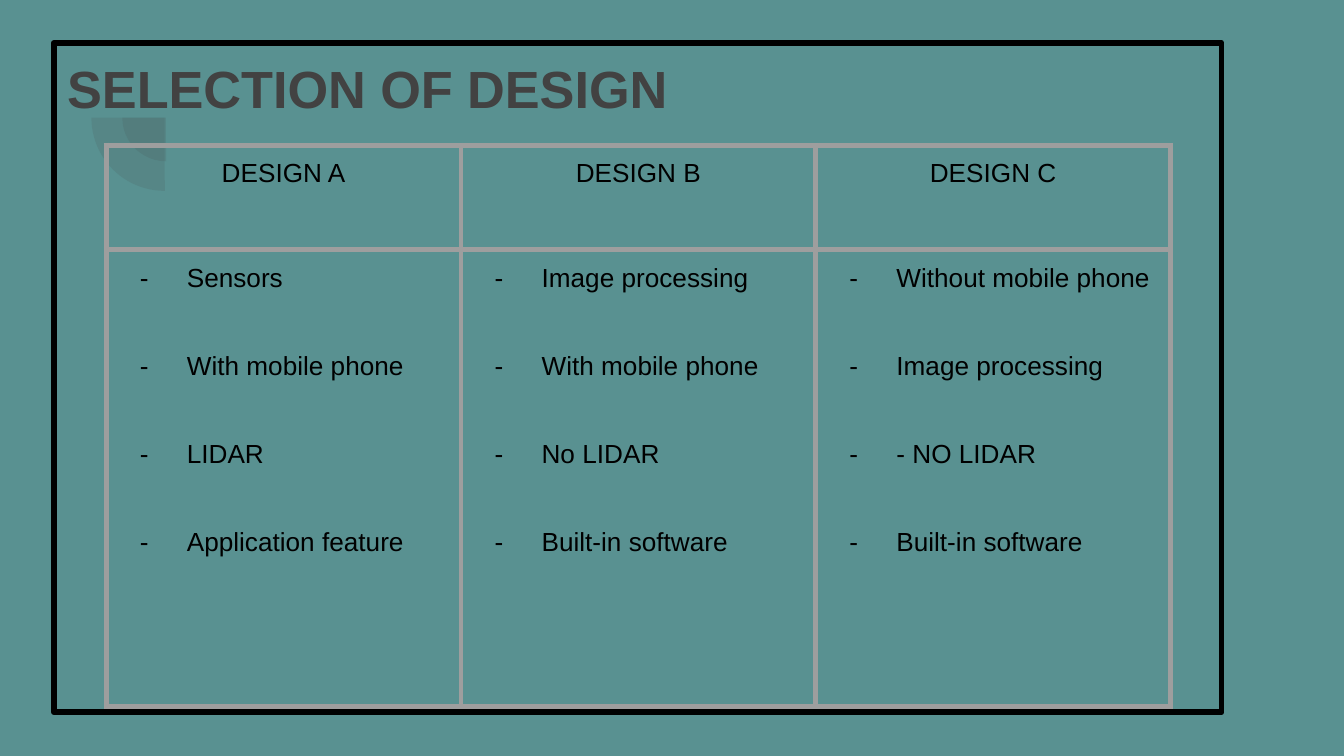
from pptx import Presentation, util as u
from pptx.dml.color import RGBColor
from pptx.enum import shapes, text
from pptx.oxml import parse_xml
from pptx.oxml.ns import nsdecls

TITLE = "SELECTION OF DESIGN"
DESIGNS = [
    ("DESIGN A", ["Sensors", "With mobile phone", "LIDAR", "Application feature"]),
    ("DESIGN B", ["Image processing", "With mobile phone", "No LIDAR", "Built-in software"]),
    ("DESIGN C", ["Without mobile phone", "Image processing", "- NO LIDAR", "Built-in software"]),
]
THEME = dict(font="Arial", back="599191", dark="424242", ink="000000",
             grid="9E9E9E", head=28, body=14, rule=3, gap=31.5, alpha=13)
PIES = [(0.91, 0.55, 0.65), (0.68, 0.33, 1.09)]
ROWS = [0.78, 3.4]
COL = 2.64
PAD = u.Inches(0.1)


def color(name):
    return RGBColor.from_string(THEME[name])


def write(par, words, size, ink, bold=False):
    run = par.add_run()
    run.text = words
    font = run.font
    font.name, font.size, font.bold = THEME["font"], u.Pt(THEME[size]), bold
    font.color.rgb = color(ink)


def pad(box):
    box.margin_left = box.margin_right = PAD
    box.margin_top = box.margin_bottom = PAD


def bullet(par):
    props = par._p.get_or_add_pPr()
    props.set("marL", str(u.Inches(0.5)))
    props.set("indent", str(u.Inches(-0.35)))
    for xml in (f'<a:buClr {nsdecls("a")}><a:srgbClr val="{THEME["ink"]}"/></a:buClr>',
                f'<a:buFont {nsdecls("a")} typeface="{THEME["font"]}"/>',
                f'<a:buChar {nsdecls("a")} char="-"/>'):
        props.append(parse_xml(xml))


def border(cell):
    props = cell._tc.get_or_add_tcPr()
    for at, side in enumerate("LRTB"):
        props.insert(at, parse_xml(
            f'<a:ln{side} {nsdecls("a")} w="{u.Pt(THEME["rule"])}"><a:solidFill>'
            f'<a:srgbClr val="{THEME["grid"]}"/></a:solidFill></a:ln{side}>'))


deck = Presentation()
deck.slide_width = u.Inches(10)
deck.slide_height = deck.slide_width * 9 // 16
slide = deck.slides.add_slide(deck.slide_layouts[5])
slide.background.fill.solid()
slide.background.fill.fore_color.rgb = color("back")

for left, top, size in PIES:
    pie = slide.shapes.add_shape(shapes.MSO_SHAPE.PIE, u.Inches(left), u.Inches(top),
                                 u.Inches(size), u.Inches(size))
    pie.adjustments[0], pie.adjustments[1] = 107.93, 162
    pie.rotation = 270
    pie.shadow.inherit = False
    pie.line.fill.background()
    pie.fill.solid()
    pie.fill.fore_color.rgb = color("dark")
    tint = pie.element.spPr.find(".//{*}srgbClr")
    tint.append(parse_xml(f'<a:alpha {nsdecls("a")} val="{THEME["alpha"] * 1000}"/>'))

title = slide.shapes.title
title.element.getparent().append(title.element)
title.left, title.top = u.Inches(0.4), u.Inches(0.32)
title.width, title.height = u.Inches(8.69), u.Inches(4.98)
title.line.color.rgb = color("ink")
title.line.width = u.Pt(THEME["rule"])
frame = title.text_frame
pad(frame)
frame.word_wrap = True
frame.auto_size = text.MSO_AUTO_SIZE.NONE
frame.vertical_anchor = text.MSO_ANCHOR.TOP
frame.paragraphs[0].alignment = text.PP_ALIGN.LEFT
write(frame.paragraphs[0], TITLE, "head", "dark", True)

table = slide.shapes.add_table(len(ROWS), len(DESIGNS), u.Inches(0.79), u.Inches(1.08),
                               u.Inches(COL * len(DESIGNS)), u.Inches(sum(ROWS))).table
table.first_row = table.horz_banding = False
for row, high in zip(table.rows, ROWS):
    row.height = u.Inches(high)
for col, (name, traits) in enumerate(DESIGNS):
    table.columns[col].width = u.Inches(COL)
    top, low = table.cell(0, col), table.cell(1, col)
    for cell in (top, low):
        pad(cell)
        cell.fill.background()
        border(cell)
    par = top.text_frame.paragraphs[0]
    par.alignment = text.PP_ALIGN.CENTER
    write(par, name, "body", "ink")
    for n, trait in enumerate(traits):
        par = low.text_frame.add_paragraph() if n else low.text_frame.paragraphs[0]
        par.space_before = u.Pt(THEME["gap"] if n else 0)
        bullet(par)
        write(par, trait, "body", "ink")

deck.save("out.pptx")
